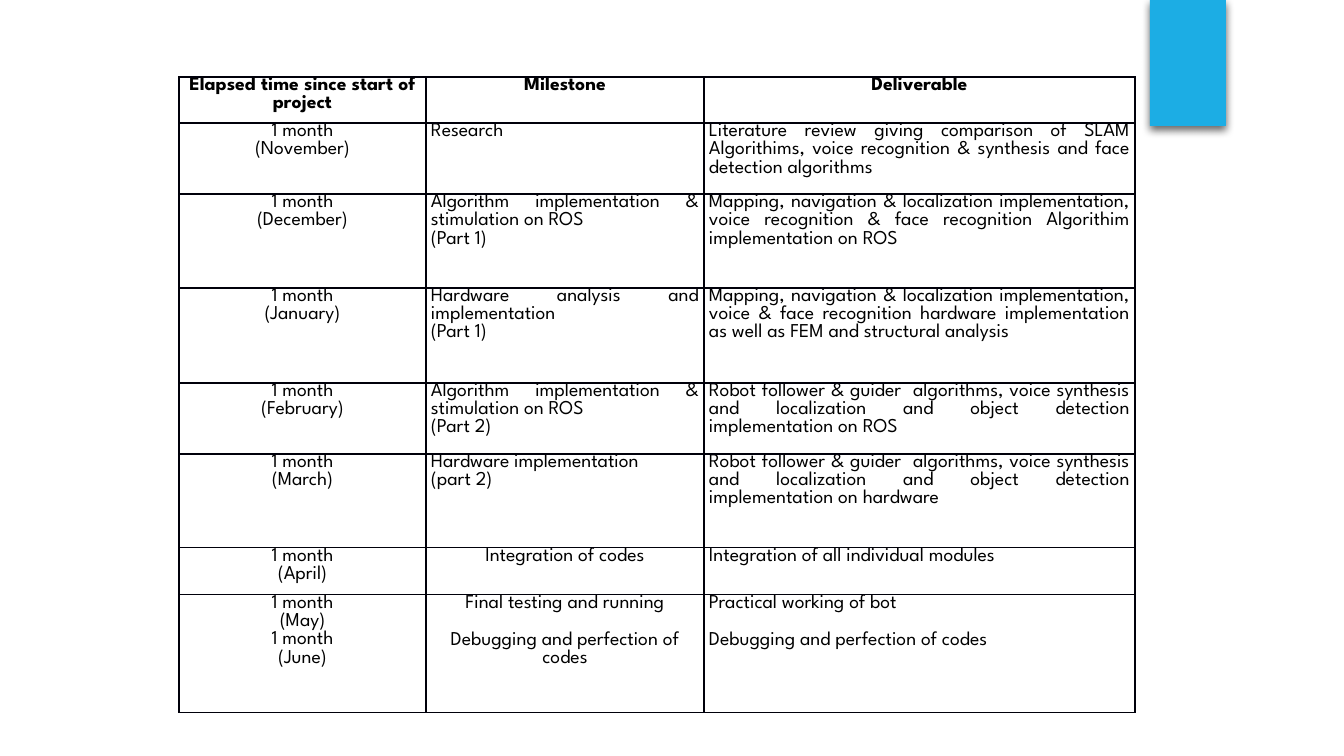
from lxml import etree
from pptx import Presentation
from pptx.dml.color import RGBColor
from pptx.enum.shapes import MSO_SHAPE
from pptx.enum.text import PP_ALIGN
from pptx.oxml import parse_xml
from pptx.oxml.ns import qn
from pptx.util import Pt

PX = 914400 / 100.8
NS = 'xmlns:a="http://schemas.openxmlformats.org/drawingml/2006/main"'
CENTER, JUSTIFY = PP_ALIGN.CENTER, PP_ALIGN.JUSTIFY
RECT = MSO_SHAPE.RECTANGLE


def px(n):
    return round(n * PX)


def fill(obj, color):
    obj.fill.solid()
    obj.fill.fore_color.rgb = RGBColor.from_string(color)


prs = Presentation()
prs.slide_width, prs.slide_height = px(1344), px(756)
s = prs.slides.add_slide(prs.slide_layouts[6])

# Accent tab at the top edge
tab = s.shapes.add_shape(RECT, px(1150), 0, px(76), px(126))
fill(tab, "1CADE4")
tab.line.fill.background()
tab.shadow.inherit = False
tab._element.spPr.find(qn("a:effectLst")).append(parse_xml(
    f'<a:outerShdw {NS} blurRad="{Pt(6)}" dist="{Pt(3)}" dir="5400000" rotWithShape="0">'
    '<a:srgbClr val="000000"><a:alpha val="60000"/></a:srgbClr></a:outerShdw>'))

# Schedule: each cell is a list of paragraphs; an empty entry means a one-line gap
rows = [
    (46, ["Elapsed time since start of project"], ["Milestone"], ["Deliverable"]),
    (71, ["1 month", "(November)"], ["Research"],
     ["Literature review giving comparison of SLAM Algorithims, voice recognition "
      "& synthesis and face detection algorithms"]),
    (94, ["1 month", "(December)"],
     ["Algorithm implementation & stimulation on ROS", "(Part 1)"],
     ["Mapping, navigation & localization implementation, voice recognition & face "
      "recognition Algorithim implementation on ROS"]),
    (95, ["1 month", "(January)"],
     ["Hardware analysis and implementation", "(Part 1)"],
     ["Mapping, navigation & localization implementation, voice & face recognition "
      "hardware implementation as well as FEM and structural analysis"]),
    (71, ["1 month", "(February)"],
     ["Algorithm implementation & stimulation on ROS", "(Part 2)"],
     ["Robot follower & guider  algorithms, voice synthesis and localization and "
      "object detection implementation on ROS"]),
    (94, ["1 month", "(March)"], ["Hardware implementation", "(part 2)"],
     ["Robot follower & guider  algorithms, voice synthesis and localization and "
      "object detection implementation on hardware"]),
    (47, ["1 month", "(April)"], ["Integration of codes"],
     ["Integration of all individual modules"]),
    (118, ["1 month", "(May)", "1 month\v(June)"],
     ["Final testing and running", "", "Debugging and perfection of codes"],
     ["Practical working of bot", "", "Debugging and perfection of codes"]),
]
col_widths = [247, 278, 431]
centered_milestones = (0, 6, 7)
margins = {"margin_left": px(5), "margin_right": px(5), "margin_top": 0, "margin_bottom": 0}
font = {"name": "League Spartan", "size": Pt(14)}

table = s.shapes.add_table(len(rows), len(col_widths), px(179), px(77),
                           px(sum(col_widths)), px(sum(row[0] for row in rows))).table
table.first_row = table.horz_banding = False
for column, width in zip(table.columns, col_widths):
    column.width = px(width)

for i, (height, *texts) in enumerate(rows):
    table.rows[i].height = px(height)
    for j, paragraphs in enumerate(texts):
        cell = table.cell(i, j)
        for name, value in margins.items():
            setattr(cell, name, value)
        tcPr = cell._tc.get_or_add_tcPr()
        for side in "LRTB":
            ln = etree.SubElement(tcPr, qn(f"a:ln{side}"), w=str(Pt(1)))
            line_fill = etree.SubElement(ln, qn("a:solidFill"))
            etree.SubElement(line_fill, qn("a:srgbClr"), val="00000A")
        fill(cell, "FFFFFF")

        centered = i == 0 or j == 0 or (j == 1 and i in centered_milestones)
        tf = cell.text_frame
        gap = 0
        for text in paragraphs:
            if not text:
                gap = 13
                continue
            p = tf.add_paragraph() if tf.text else tf.paragraphs[0]
            p.text = text
            p.alignment = CENTER if centered else JUSTIFY
            if gap:
                p.space_before = Pt(gap)
                gap = 0
            for r in p.runs:
                for name, value in font.items():
                    setattr(r.font, name, value)
                r.font.bold = i == 0
                r.font.color.rgb = RGBColor.from_string("000000")

prs.save("out.pptx")
